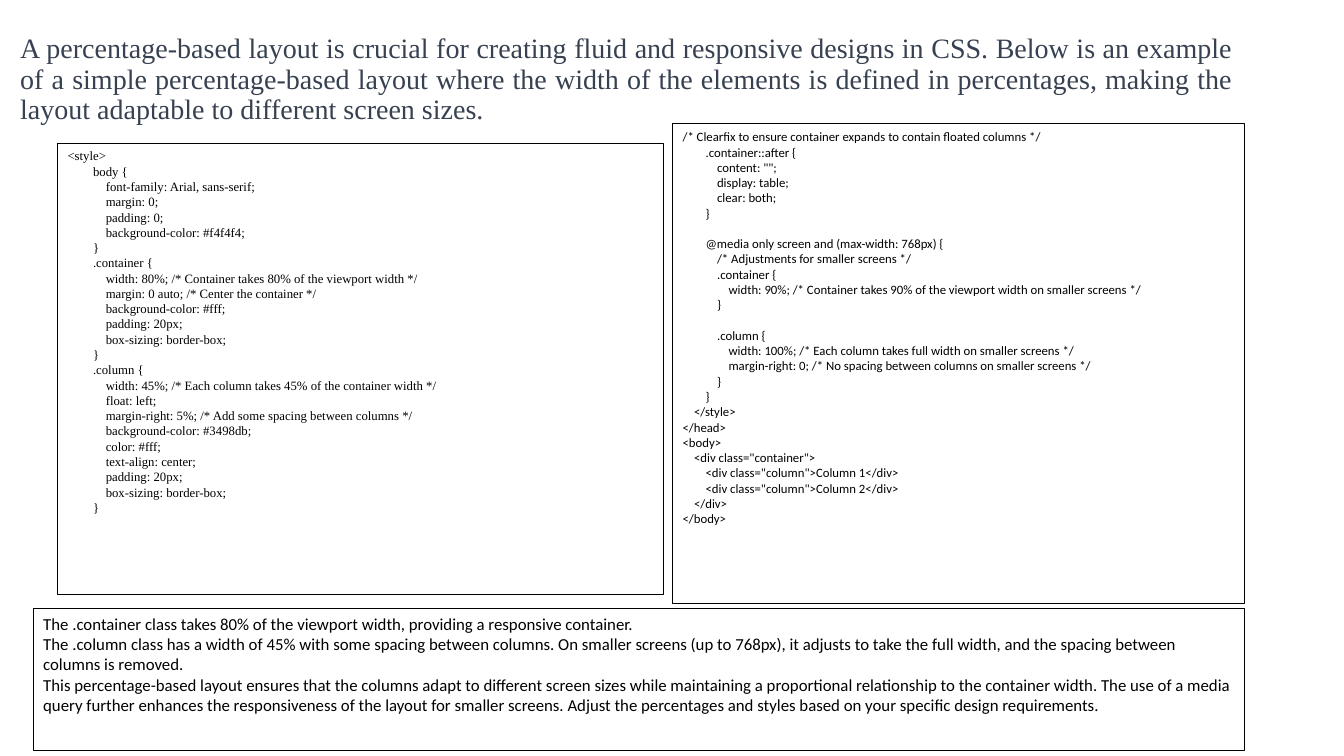
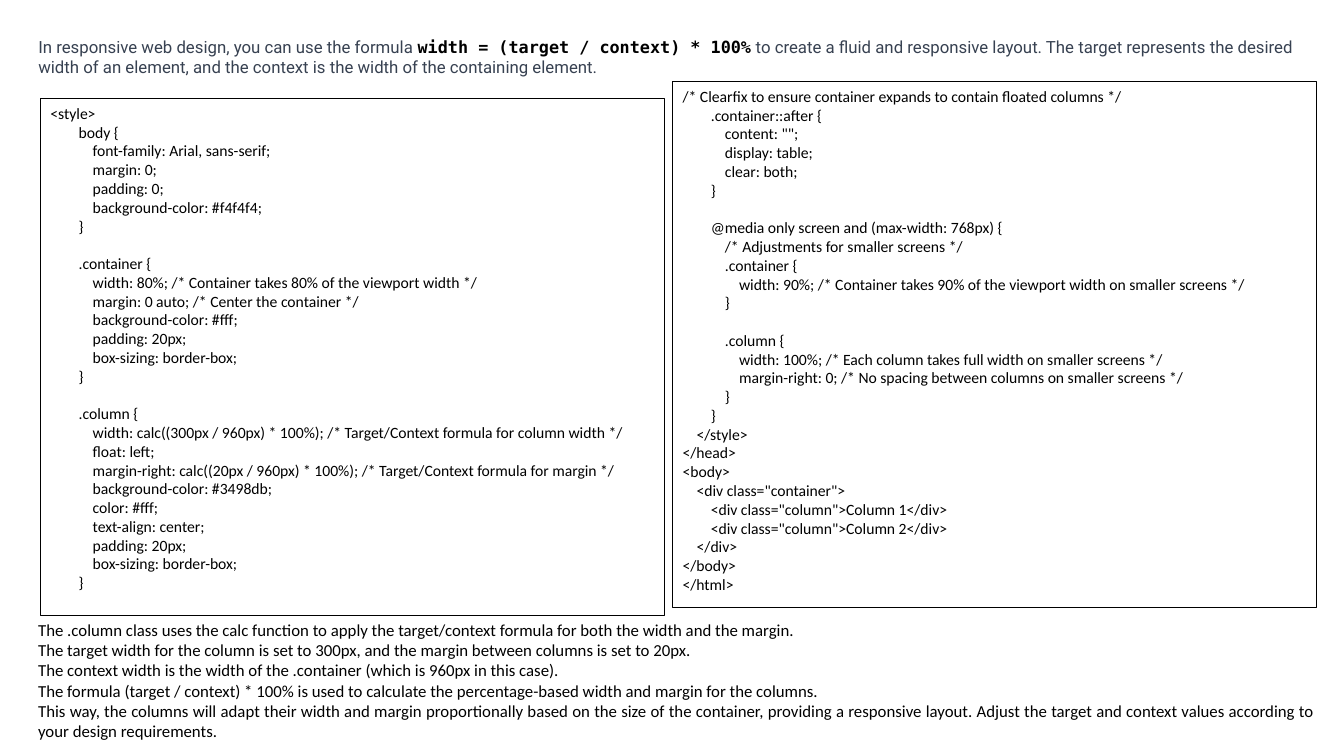
"""Build two slides on percentage-based layouts in CSS."""
import dataclasses
import typing

import lxml.etree
import pptx
import pptx.dml.color
import pptx.enum.text
import pptx.oxml.ns
import pptx.util

ALIGN = pptx.enum.text.PP_ALIGN
ANCHOR = pptx.enum.text.MSO_ANCHOR
PX = 9144
COLORS = {"text": "000000", "title": "374151"}


@dataclasses.dataclass(frozen=True)
class Style:
    """Format of a text run."""
    name: str = "Calibri"
    size: float = 12
    color: str = "text"
    bold: bool = False


class Run(typing.NamedTuple):
    """A piece of text in one style."""
    text: str
    style: Style


class Box(typing.NamedTuple):
    """A place in px, with or without an outline."""
    left: int
    top: int
    width: int
    height: int
    outlined: bool = True


class Block(typing.NamedTuple):
    """A box filled with lines of text."""
    box: Box
    lines: list[str]
    style: Style = Style()
    fmt: dict[str, typing.Any] = {}


class Page(typing.NamedTuple):
    """Everything on one slide."""
    title_box: Box
    title: list[Run]
    title_fmt: dict[str, typing.Any]
    anchor: ANCHOR
    codes: list[Block]
    notes: Block


def style_sheet(width: str, margin: str, gap: str = "") -> list[str]:
    """Return the left-hand code, with a gap between its rules."""
    return f"""<style>
        body {{
            font-family: Arial, sans-serif;
            margin: 0;
            padding: 0;
            background-color: #f4f4f4;
        }}{gap}
        .container {{
            width: 80%; /* Container takes 80% of the viewport width */
            margin: 0 auto; /* Center the container */
            background-color: #fff;
            padding: 20px;
            box-sizing: border-box;
        }}{gap}
        .column {{
            width: {width} */
            float: left;
            margin-right: {margin} */
            background-color: #3498db;
            color: #fff;
            text-align: center;
            padding: 20px;
            box-sizing: border-box;
        }}""".split("\n")


PAGE_CODE = """/* Clearfix to ensure container expands to contain floated columns */
        .container::after {
            content: "";
            display: table;
            clear: both;
        }

        @media only screen and (max-width: 768px) {
            /* Adjustments for smaller screens */
            .container {
                width: 90%; /* Container takes 90% of the viewport width on smaller screens */
            }

            .column {
                width: 100%; /* Each column takes full width on smaller screens */
                margin-right: 0; /* No spacing between columns on smaller screens */
            }
        }
    </style>
</head>
<body>
    <div class="container">
        <div class="column">Column 1</div>
        <div class="column">Column 2</div>
    </div>
</body>""".split("\n")

SMALL = {"line_spacing": pptx.util.Pt(10.9)}
LARGE = {"line_spacing": pptx.util.Pt(13.4)}
INTRO = Style("Roboto", 12, "title")

PAGES = [
    Page(
        Box(10, 7, 1223, 145, False),
        [Run("A percentage-based layout is crucial for creating fluid and responsive designs in CSS. "
             "Below is an example of a simple percentage-based layout where the width of the elements "
             "is defined in percentages, making the layout adaptable to different screen sizes.",
             Style("Times New Roman", 20, "title"))],
        {"alignment": ALIGN.JUSTIFY, "line_spacing": 0.9},
        ANCHOR.MIDDLE,
        [Block(Box(57, 142, 601, 448),
               style_sheet("45%; /* Each column takes 45% of the container width",
                           "5%; /* Add some spacing between columns"),
               Style("Times New Roman", 9.1), SMALL),
         Block(Box(667, 123, 567, 476), PAGE_CODE, Style(size=9.1), SMALL)],
        Block(Box(33, 604, 1201, 141), [
            "The .container class takes 80% of the viewport width, providing a responsive container.",
            "The .column class has a width of 45% with some spacing between columns. On smaller screens "
            "(up to 768px), it adjusts to take the full width, and the spacing between columns is removed.",
            "This percentage-based layout ensures that the columns adapt to different screen sizes while "
            "maintaining a proportional relationship to the container width. The use of a media query "
            "further enhances the responsiveness of the layout for smaller screens. Adjust the "
            "percentages and styles based on your specific design requirements."])),
    Page(
        Box(28, 0, 1287, 81, False),
        [Run("In responsive web design, you can use the formula ", INTRO),
         Run("width = (target / context) * 100%", Style("DejaVu Sans Mono", 12, bold=True)),
         Run(" to create a fluid and responsive layout. The target represents the desired width of "
             "an element, and the context is the width of the containing element.", INTRO)],
        {"alignment": ALIGN.LEFT},
        ANCHOR.BOTTOM,
        [Block(Box(40, 98, 619, 513),
               style_sheet("calc((300px / 960px) * 100%); /* Target/Context formula for column width",
                           "calc((20px / 960px) * 100%); /* Target/Context formula for margin", "\n"),
               Style(size=11.2), LARGE),
         Block(Box(667, 81, 639, 522), PAGE_CODE + ["</html>"], Style(size=11.2), LARGE)],
        Block(Box(28, 610, 1287, 131, False), [
            "The .column class uses the calc function to apply the target/context formula for both the "
            "width and the margin.",
            "The target width for the column is set to 300px, and the margin between columns is set to 20px.",
            "The context width is the width of the .container (which is 960px in this case).",
            "The formula (target / context) * 100% is used to calculate the percentage-based width and "
            "margin for the columns.",
            "This way, the columns will adapt their width and margin proportionally based on the size of "
            "the container, providing a responsive layout. Adjust the target and context values "
            "according to your design requirements."],
            fmt={"alignment": ALIGN.JUSTIFY})),
]


def rgb(name: str) -> pptx.dml.color.RGBColor:
    """Look up a colour by name."""
    return pptx.dml.color.RGBColor.from_string(COLORS[name])


def set_font(font: typing.Any, style: Style) -> None:
    """Apply a style to a font."""
    values = {"name": style.name, "size": pptx.util.Pt(style.size), "bold": style.bold}
    for key, value in values.items():
        setattr(font, key, value)
    font.color.rgb = rgb(style.color)


def place(sp: typing.Any, box: Box, anchor: ANCHOR = ANCHOR.TOP) -> None:
    """Position a shape and set up its frame."""
    for key in ("left", "top", "width", "height"):
        setattr(sp, key, getattr(box, key) * PX)
    frame = {"word_wrap": True, "auto_size": pptx.enum.text.MSO_AUTO_SIZE.NONE,
             "vertical_anchor": anchor}
    for key, value in frame.items():
        setattr(sp.text_frame, key, value)
    if box.outlined:
        sp.line.color.rgb = rgb("text")
        sp.line.width = pptx.util.Pt(0.75)


def format_paragraph(p: typing.Any, fmt: dict[str, typing.Any]) -> None:
    """Remove bullet and indent, then apply paragraph formats."""
    props = p._p.get_or_add_pPr()
    for key in ("marL", "indent"):
        props.set(key, "0")
    lxml.etree.SubElement(props, pptx.oxml.ns.qn("a:buNone"))
    values = {"space_before": pptx.util.Pt(0), "line_spacing": 1.0} | fmt
    for key, value in values.items():
        setattr(p, key, value)


def fill_block(sp: typing.Any, block: Block) -> None:
    """Place a shape and write one paragraph per line."""
    place(sp, block.box)
    tf = sp.text_frame
    for i, line in enumerate(block.lines):
        p = tf.add_paragraph() if i else tf.paragraphs[0]
        format_paragraph(p, block.fmt)
        set_font(p.font, block.style)
        if line:
            r = p.add_run()
            r.text = line
            set_font(r.font, block.style)


def add_page(prs: typing.Any, page: Page) -> None:
    """Add a slide with title, two code panels and notes."""
    s = prs.slides.add_slide(prs.slide_layouts.get_by_name("Two Content"))
    title, *panels = list(s.placeholders)[:3]
    place(title, page.title_box, page.anchor)
    p = title.text_frame.paragraphs[0]
    format_paragraph(p, page.title_fmt)
    for run in page.title:
        r = p.add_run()
        r.text = run.text
        set_font(r.font, run.style)
    for sp, code in zip(panels, page.codes):
        fill_block(sp, code)
    fill_block(s.shapes.add_textbox(0, 0, PX, PX), page.notes)


def main() -> None:
    """Build and save the presentation."""
    prs = pptx.Presentation()
    prs.slide_width, prs.slide_height = 1333 * PX, 750 * PX
    for page in PAGES:
        add_page(prs, page)
    prs.save("out.pptx")


if __name__ == "__main__":
    main()
